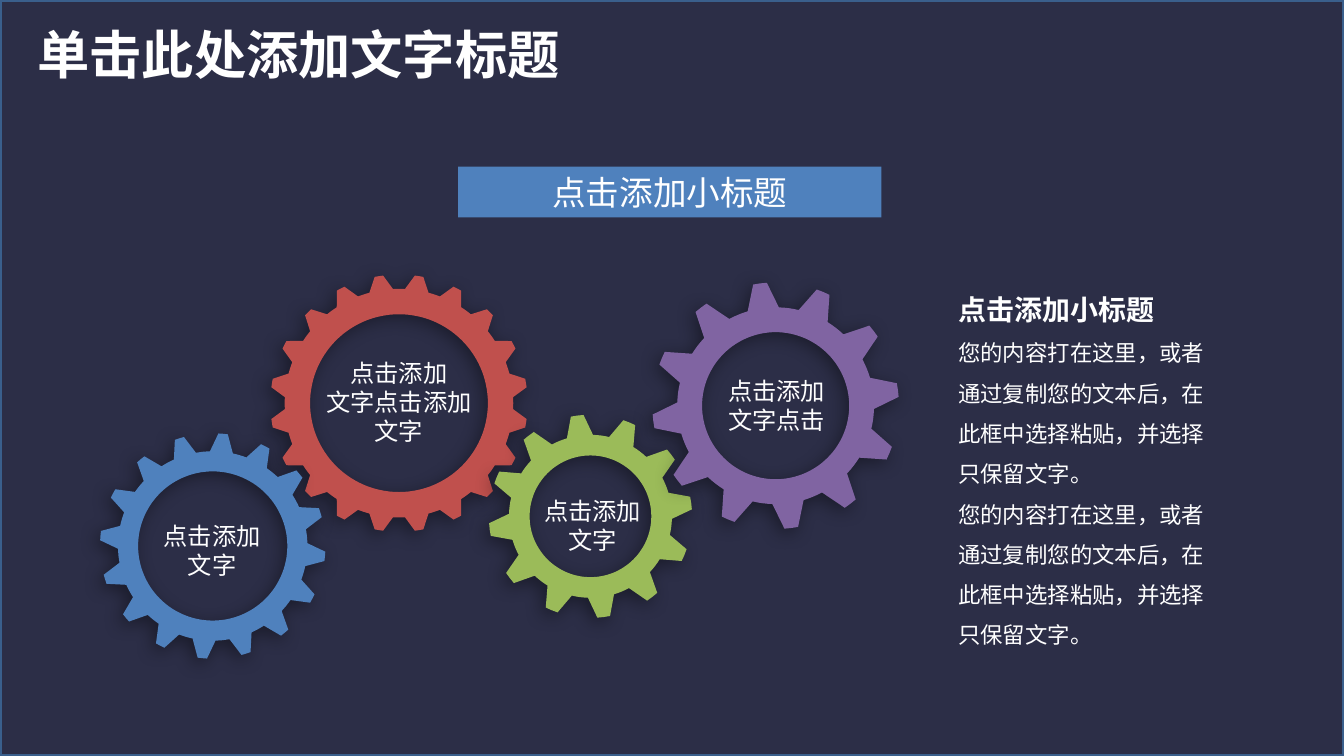
"""Builds a slide of four interlocking gears with labels, a banner and a text column."""
from dataclasses import dataclass
from math import cos, radians, sin

from lxml import etree
from pptx import Presentation
from pptx.dml.color import RGBColor
from pptx.enum import shapes, text
from pptx.oxml.ns import qn
from pptx.util import Cm, Pt


@dataclass(frozen=True)
class Theme:
    font: str = "Noto Sans CJK SC"
    back: str = "2C2E47"
    frame: str = "3A5F8C"
    ink: str = "FFFFFF"
    shadow: str = "000000"
    blue: str = "4F81BD"
    red: str = "C0504D"
    green: str = "9BBB59"
    purple: str = "8064A2"
    title: int = 28
    banner: int = 18
    heading: int = 15
    label: int = 13
    body: int = 12


T = Theme()
SLIDE = (25.4, 14.29)
INSETS = (0.18, 0.1)

TITLE = ("单击此处添加文字标题", (0.46, 0.3, 10.49, 1.45))
BANNER = ("点击添加小标题", (8.66, 3.15, 8, 0.96))
LABELS = [
    (["点击添加", "文字"], (2.84, 9.73, 2.34, 1.35)),
    (["点击添加", "文字点击添加", "文字"], (5.89, 6.63, 3.3, 1.93)),
    (["点击添加", "文字"], (10.03, 9.25, 2.34, 1.35)),
    (["点击添加", "文字点击"], (13.03, 6.99, 3.3, 1.35)),
]
DETAIL = "您的内容打在这里，或者通过复制您的文本后，在此框中选择粘贴，并选择只保留文字。"
COLUMN = (17.93, 5.11, 5.38, 7.32)
GEARS = [
    dict(color=T.red, center=(7.54, 7.62), hole=1.68, root=2.16, tip=2.43,
         teeth=20, phase=9, tip_half=1.9, root_half=6),
    dict(color=T.green, center=(11.16, 9.76), hole=1.15, root=1.54, tip=1.92,
         teeth=12, phase=-7.5, tip_half=3.6, root_half=9.3),
    dict(color=T.blue, center=(4.02, 10.32), hole=1.41, root=1.79, tip=2.13,
         teeth=16, phase=5.3, tip_half=2.4, root_half=7),
    dict(color=T.purple, center=(14.66, 7.67), hole=1.39, root=1.86, tip=2.33,
         teeth=12, phase=-7.3, tip_half=3.2, root_half=9.2),
]


def rgb(value):
    return RGBColor.from_string(value)


def write(tf, lines, align=text.PP_ALIGN.LEFT, spacing=None):
    for i, (words, size, bold) in enumerate(lines):
        p = tf.paragraphs[0] if i == 0 else tf.add_paragraph()
        p.alignment = align
        if spacing:
            p.line_spacing = spacing
        r = p.add_run()
        r.text = words
        r.font.size = Pt(size)
        r.font.bold = bold
        r.font.color.rgb = rgb(T.ink)
        r.font.name = T.font
        etree.SubElement(r.font._element, qn("a:ea"), typeface=T.font)


def set_insets(tf):
    tf.margin_left = tf.margin_right = Cm(INSETS[0])
    tf.margin_top = tf.margin_bottom = Cm(INSETS[1])


def add_text(s, box, lines, anchor=text.MSO_ANCHOR.TOP, **style):
    tf = s.shapes.add_textbox(*map(Cm, box)).text_frame
    tf.word_wrap = True
    tf.auto_size = text.MSO_AUTO_SIZE.SHAPE_TO_FIT_TEXT
    tf.vertical_anchor = anchor
    set_insets(tf)
    write(tf, lines, **style)


def add_rect(s, box, color):
    sp = s.shapes.add_shape(shapes.MSO_SHAPE.RECTANGLE, *map(Cm, box))
    sp.shadow.inherit = False
    sp.fill.solid()
    sp.fill.fore_color.rgb = rgb(color)
    sp.line.fill.background()
    return sp


def add_shadow(sp):
    sp.shadow.inherit = False
    effects = sp._element.spPr.find(qn("a:effectLst"))
    outer = etree.SubElement(effects, qn("a:outerShdw"), blurRad=str(Pt(10)),
                             dist=str(Pt(3)), dir=str(135 * 60000), rotWithShape="0")
    color = etree.SubElement(outer, qn("a:srgbClr"), val=T.shadow)
    etree.SubElement(color, qn("a:alpha"), val="40000")


def add_gear(s, color, center, hole, root, tip, teeth, phase, tip_half, root_half):
    def at(radius, angle):
        a = radians(angle)
        return Cm(center[0] + radius * sin(a)), Cm(center[1] - radius * cos(a))

    step = 360 / teeth
    valley = step - 2 * root_half
    rim = []
    for i in range(teeth):
        mid = phase + i * step
        rim += [at(tip, mid + k * tip_half) for k in (-1, 0, 1)]
        rim += [at(root, mid + root_half + valley * k / 4) for k in range(5)]
    ring = [at(hole, -angle) for angle in range(0, 360, 3)]

    builder = s.shapes.build_freeform(*ring[0])
    builder.add_line_segments(ring[1:], close=True)
    builder.move_to(*rim[0])
    builder.add_line_segments(rim[1:], close=True)
    sp = builder.convert_to_shape()
    sp.fill.solid()
    sp.fill.fore_color.rgb = rgb(color)
    sp.line.fill.background()
    add_shadow(sp)


def main():
    prs = Presentation()
    prs.slide_width, prs.slide_height = map(Cm, SLIDE)
    s = prs.slides.add_slide(prs.slide_layouts[6])
    s.background.fill.solid()
    s.background.fill.fore_color.rgb = rgb(T.back)

    frame = add_rect(s, (0, 0, *SLIDE), T.back)
    frame.line.color.rgb = rgb(T.frame)
    frame.line.width = Pt(2)

    words, box = TITLE
    tf = s.shapes.add_textbox(*map(Cm, box)).text_frame
    tf.word_wrap = False
    tf.auto_size = text.MSO_AUTO_SIZE.SHAPE_TO_FIT_TEXT
    write(tf, [(words, T.title, True)])

    for lines, box in LABELS:
        add_text(s, box, [(line, T.label, False) for line in lines],
                 anchor=text.MSO_ANCHOR.MIDDLE, align=text.PP_ALIGN.CENTER)

    details = [(DETAIL, T.body, False)] * 2
    add_text(s, COLUMN, [(BANNER[0], T.heading, True), *details], spacing=1.5)

    for gear in GEARS:
        add_gear(s, **gear)

    words, box = BANNER
    tf = add_rect(s, box, T.blue).text_frame
    tf.vertical_anchor = text.MSO_ANCHOR.MIDDLE
    set_insets(tf)
    write(tf, [(words, T.banner, False)], align=text.PP_ALIGN.CENTER)

    prs.save("out.pptx")


if __name__ == "__main__":
    main()
